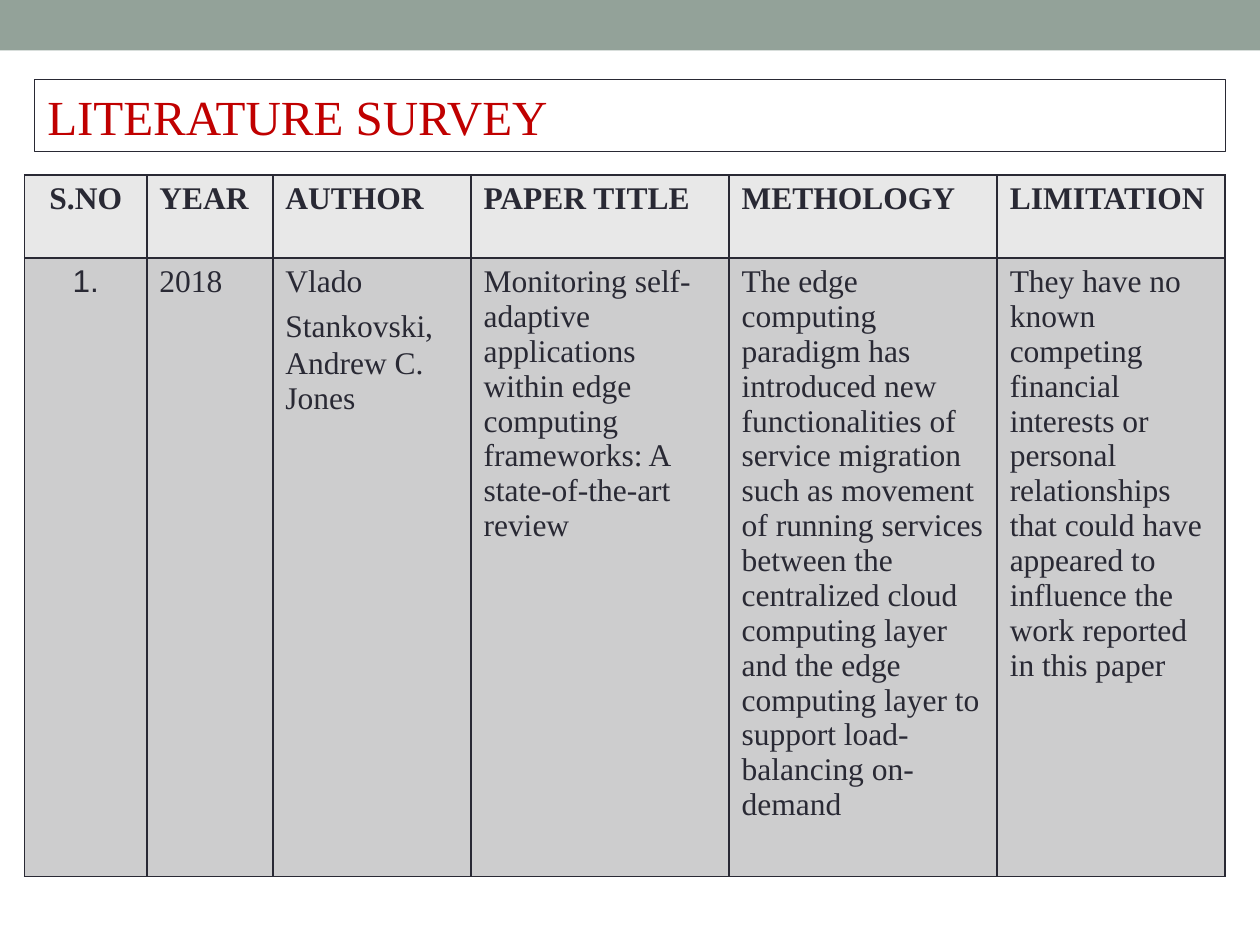
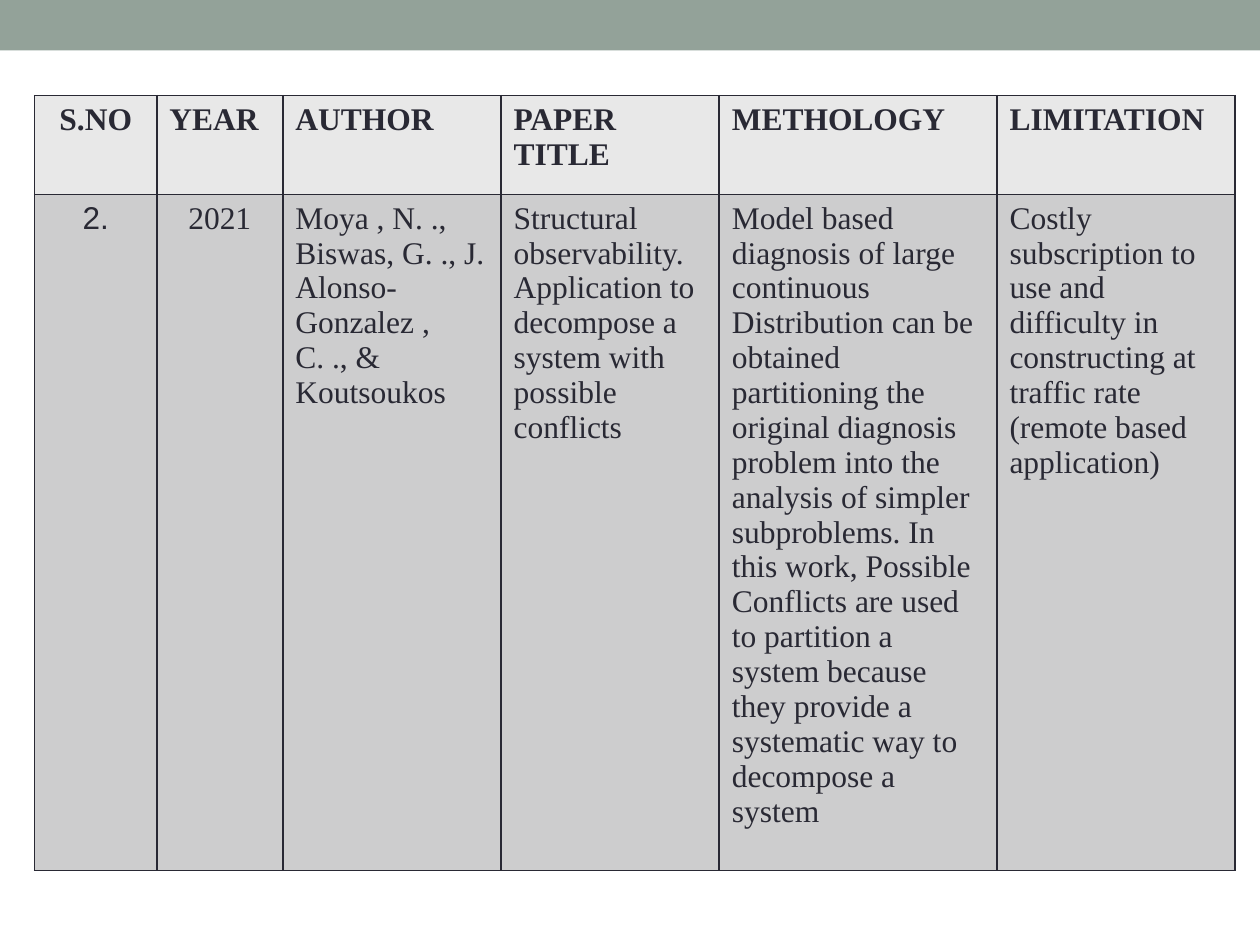
from lxml.etree import SubElement
from pptx import Presentation
from pptx.dml.color import RGBColor
from pptx.enum.shapes import MSO_SHAPE
from pptx.enum.text import MSO_ANCHOR, MSO_AUTO_SIZE, PP_ALIGN
from pptx.oxml.ns import qn
from pptx.util import Pt

# Shared look
SERIF, SANS = "Times New Roman", "Arial"
INK, BAND, TITLE_RED = "292934", "93A299", "C00000"
HEADER_FILL, BODY_FILL = "E8E8E8", "CDCDCE"
BODY_SIZE = 18

# Content: an entry is a text, or a list of (text, size, font) runs
HEADINGS = ["S.NO", "YEAR", "AUTHOR", "PAPER TITLE", "METHOLOGY", "LIMITATION"]
SURVEYS = [
    {
        "title": "LITERATURE SURVEY",
        "corner": (14.1, 100),
        "columns": [69.8, 72, 113.3, 147.5, 153.2, 130.2],
        "rows": [47.5, 353.5],
        "centred": {0},
        "paper": [
            [("1.", BODY_SIZE, SANS)],
            "2018",
            [("Vlado Stankovski,", BODY_SIZE, SERIF),
             (" ", 24, SANS),
             ("Andrew C. Jones", BODY_SIZE, SERIF)],
            "Monitoring self-adaptive applications within edge computing "
            "frameworks: A state-of-the-art review",
            "The edge computing paradigm has introduced new functionalities of "
            "service migration such as movement of running services between "
            "the centralized cloud computing layer and the edge computing "
            "layer to support load-balancing on-demand",
            "They have no known competing financial interests or personal "
            "relationships that could have appeared to influence the work "
            "reported in this paper",
        ],
    },
    {
        "title": None,
        "corner": (19.8, 54.7),
        "columns": [69.8, 72, 124.7, 124.7, 158.7, 136.1],
        "rows": [56.6, 386.1],
        "centred": {0, 1},
        "paper": [
            [("2.", BODY_SIZE, SANS)],
            "2021",
            "Moya , N. ., Biswas, G. ., J. Alonso-Gonzalez , C. ., & Koutsoukos",
            "Structural observability. Application to decompose a system with "
            "possible conflicts",
            "Model based diagnosis of large continuous Distribution can be "
            "obtained partitioning the original diagnosis problem into the "
            "analysis of simpler subproblems. In this work, Possible Conflicts "
            "are used to partition a system because they provide a systematic "
            "way to decompose a system",
            "Costly subscription to use and difficulty in constructing at "
            "traffic rate\n(remote based application)",
        ],
    },
]


def paint(fill, colour):
    fill.solid()
    fill.fore_color.rgb = RGBColor.from_string(colour)


def style(run, size, font, colour, bold=False):
    run.font.size = Pt(size)
    run.font.name = font
    run.font.bold = bold
    run.font.color.rgb = RGBColor.from_string(colour)


def add_band(slide, width):
    band = slide.shapes.add_shape(MSO_SHAPE.RECTANGLE, 0, 0, width, Pt(28.8))
    band.shadow.inherit = False
    paint(band.fill, BAND)
    band.line.fill.background()


def set_title(slide, text):
    title = slide.shapes.title
    title.left, title.top, title.width, title.height = (
        Pt(length) for length in (19.8, 45.4, 680.4, 41.2))
    title.line.width = Pt(0.75)
    paint(title.line.fill, INK)
    frame = title.text_frame
    frame.text = text
    frame.auto_size = MSO_AUTO_SIZE.NONE
    frame.vertical_anchor = MSO_ANCHOR.MIDDLE
    frame.paragraphs[0].alignment = PP_ALIGN.LEFT
    style(frame.paragraphs[0].runs[0], 28, SERIF, TITLE_RED)


def add_borders(cell):
    properties = cell._tc.get_or_add_tcPr()
    for position, side in enumerate(("a:lnL", "a:lnR", "a:lnT", "a:lnB")):
        border = SubElement(properties, qn(side), w=str(Pt(1)))
        solid = SubElement(border, qn("a:solidFill"))
        SubElement(solid, qn("a:srgbClr"), val=INK)
        properties.insert(position, border)  # borders come before the fill


def fill_cell(cell, entry, background, centred, bold):
    paint(cell.fill, background)
    add_borders(cell)
    frame = cell.text_frame
    if isinstance(entry, str):
        frame.text = entry
        for paragraph in frame.paragraphs:
            style(paragraph.runs[0], BODY_SIZE, SERIF, INK, bold)
    else:
        for text, size, font in entry:
            run = frame.paragraphs[0].add_run()
            run.text = text
            style(run, size, font, INK, bold)
    for paragraph in frame.paragraphs:
        paragraph.alignment = PP_ALIGN.CENTER if centred else PP_ALIGN.LEFT


def add_survey_table(slide, survey):
    columns, rows = survey["columns"], survey["rows"]
    left, top = survey["corner"]
    table = slide.shapes.add_table(len(rows), len(columns), Pt(left), Pt(top),
                                   Pt(sum(columns)), Pt(sum(rows))).table
    table.first_row = table.horz_banding = False
    for column, width in zip(table.columns, columns):
        column.width = Pt(width)
    for row, height in zip(table.rows, rows):
        row.height = Pt(height)
    for c, (heading, entry) in enumerate(zip(HEADINGS, survey["paper"])):
        fill_cell(table.cell(0, c), heading, HEADER_FILL, c == 0, True)
        fill_cell(table.cell(1, c), entry, BODY_FILL, c in survey["centred"], False)


def main():
    deck = Presentation()
    deck.slide_width, deck.slide_height = Pt(720), Pt(540)
    title_only, blank = deck.slide_layouts[5], deck.slide_layouts[6]
    for survey in SURVEYS:
        slide = deck.slides.add_slide(title_only if survey["title"] else blank)
        add_band(slide, deck.slide_width)
        if survey["title"]:
            set_title(slide, survey["title"])
        add_survey_table(slide, survey)
    deck.save("out.pptx")


if __name__ == "__main__":
    main()
